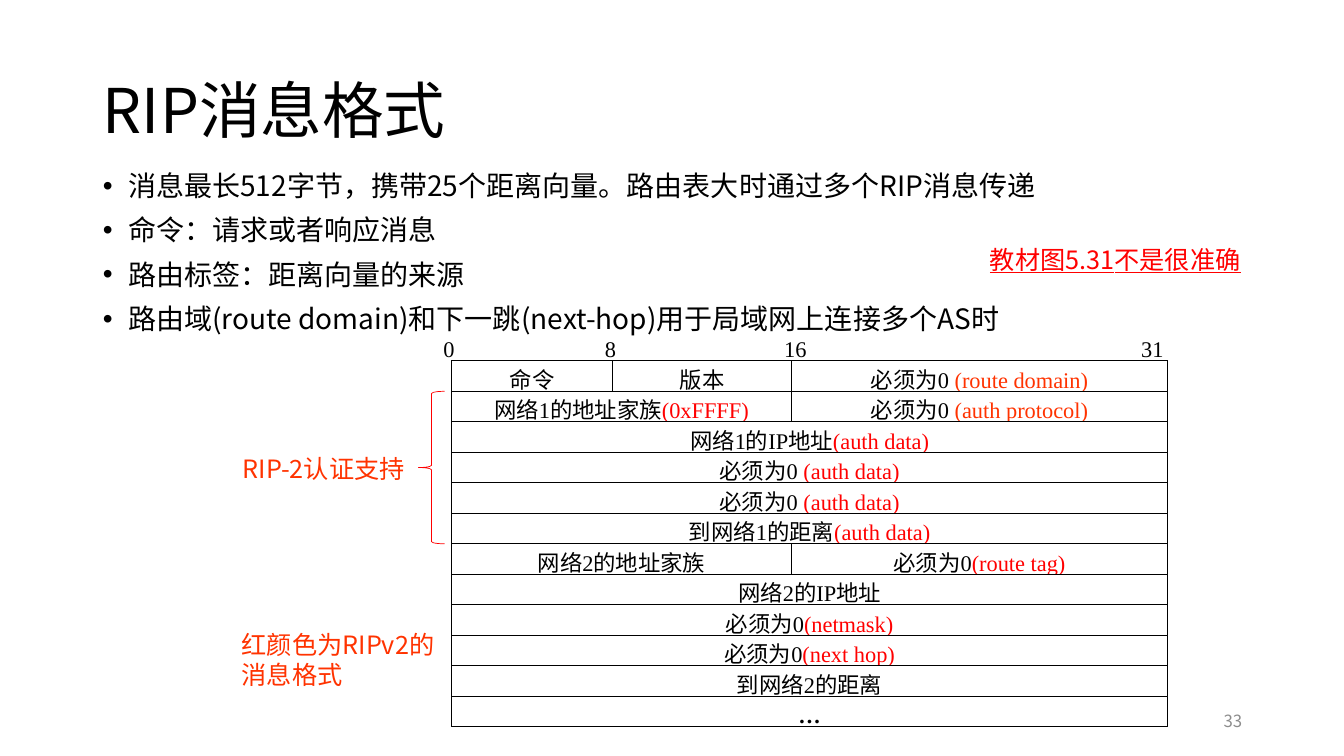
import pptx
import pptx.dml.color
import pptx.enum.shapes
import pptx.enum.text
import pptx.oxml
import pptx.oxml.ns
import pptx.util

Inches = pptx.util.Inches
Pt = pptx.util.Pt
ALIGN = pptx.enum.text.PP_ALIGN
ANCHOR = pptx.enum.text.MSO_ANCHOR
SHAPE = pptx.enum.shapes.MSO_SHAPE

SANS = "Noto Sans CJK SC"
SERIF = "Times New Roman"
BLACK, WHITE, GRAY = "000000", "FFFFFF", "8C8C8C"
RED, ORANGE = "FF0000", "FF3300"

BULLETS = [
    "消息最长512字节，携带25个距离向量。路由表大时通过多个RIP消息传递",
    "命令：请求或者响应消息",
    "路由标签：距离向量的来源",
    "路由域(route domain)和下一跳(next-hop)用于局域网上连接多个AS时",
]

# Left edge of each bit position, measured from the left of the message
BIT_EDGES = {0: 0, 8: 1.6, 16: 3.37, 32: 7.1}
# Text of each ruler mark and its left edge
BIT_MARKS = {"0": -0.18, "8": 1.42, "16": 3.2, "31": 6.74}

# Each field: first bit, end bit, RIPv1 text, RIPv2 text, RIPv2 colour
MESSAGE_ROWS = [
    [(0, 8, "命令", "", RED), (8, 16, "版本", "", RED),
     (16, 32, "必须为0 ", "(route domain)", ORANGE)],
    [(0, 16, "网络1的地址家族", "(0xFFFF)", RED),
     (16, 32, "必须为0 ", "(auth protocol)", ORANGE)],
    [(0, 32, "网络1的IP地址", "(auth data)", RED)],
    [(0, 32, "必须为0", " (auth data)", RED)],
    [(0, 32, "必须为0", " (auth data)", RED)],
    [(0, 32, "到网络1的距离", "(auth data)", RED)],
    [(0, 16, "网络2的地址家族", "", RED), (16, 32, "必须为0", "(route tag)", RED)],
    [(0, 32, "网络2的IP地址", "", RED)],
    [(0, 32, "必须为0", "(netmask)", RED)],
    [(0, 32, "必须为0", "(next hop)", RED)],
    [(0, 32, "到网络2的距离", "", RED)],
    [(0, 32, "…", "", RED)],
]


def rgb(value):
    return pptx.dml.color.RGBColor.from_string(value)


def set_attributes(target, formats):
    for name, value in formats.items():
        setattr(target, name, value)


def add_run(paragraph, text, size, color=BLACK, font=SANS, **formats):
    """Add a run; its Chinese characters always use the sans font."""
    run = paragraph.add_run()
    run.text = text
    set_attributes(run.font, {"size": Pt(size), "name": font, **formats})
    run.font.color.rgb = rgb(color)
    east_asian = pptx.oxml.parse_xml(
        f'<a:ea {pptx.oxml.ns.nsdecls("a")} typeface="{SANS}"/>')
    run.font._element.find(pptx.oxml.ns.qn("a:latin")).addnext(east_asian)


def place(shape, box):
    names = ("left", "top", "width", "height")
    set_attributes(shape, dict(zip(names, map(Inches, box))))


def add_label(shapes, box, text, size, color=BLACK, font=SANS,
              alignment=ALIGN.LEFT, anchor=ANCHOR.TOP, **formats):
    frame = shapes.add_textbox(*map(Inches, box)).text_frame
    set_attributes(frame, {"word_wrap": True, "vertical_anchor": anchor})
    frame.paragraphs[0].alignment = alignment
    add_run(frame.paragraphs[0], text, size, color, font, **formats)


def add_outline(shapes, kind, box, color, width, fill=None):
    shape = shapes.add_shape(kind, *map(Inches, box))
    shape.shadow.inherit = False
    if fill:
        shape.fill.solid()
        shape.fill.fore_color.rgb = rgb(fill)
    else:
        shape.fill.background()
    shape.line.color.rgb = rgb(color)
    shape.line.width = Pt(width)
    return shape


def fill_title(title, box):
    place(title, box)
    frame = title.text_frame
    set_attributes(frame, {"vertical_anchor": ANCHOR.MIDDLE, "word_wrap": True,
                           "auto_size": pptx.enum.text.MSO_AUTO_SIZE.NONE})
    paragraph = frame.paragraphs[0]
    set_attributes(paragraph, {"alignment": ALIGN.LEFT, "line_spacing": 0.9})
    add_run(paragraph, "RIP消息格式", 44)


def fill_bullets(body, box):
    place(body, box)
    frame = body.text_frame
    frame.auto_size = pptx.enum.text.MSO_AUTO_SIZE.NONE
    for index, text in enumerate(BULLETS):
        paragraph = frame.add_paragraph() if index else frame.paragraphs[0]
        properties = paragraph._p.get_or_add_pPr()
        properties.set("marL", str(Inches(0.25)))
        properties.set("indent", str(Inches(-0.25)))
        properties.append(pptx.oxml.parse_xml(
            f'<a:buChar {pptx.oxml.ns.nsdecls("a")} char="•"/>'))
        set_attributes(paragraph, {"line_spacing": 0.9,
                                   "space_before": Pt(10 if index else 0)})
        add_run(paragraph, text, 20)


def add_field(shapes, box, text, extension, extension_color):
    field = add_outline(shapes, SHAPE.RECTANGLE, box, BLACK, 0.75, WHITE)
    frame = field.text_frame
    set_attributes(frame, {"word_wrap": True, "vertical_anchor": ANCHOR.TOP})
    paragraph = frame.paragraphs[0]
    paragraph.alignment = ALIGN.CENTER
    add_run(paragraph, text, 16, BLACK, SERIF, bold=text == "…")
    if extension:
        add_run(paragraph, extension, 16, extension_color, SERIF)


def add_message(slide, box):
    """Draw the message fields in the box, with the bit ruler above it."""
    left, top, width, height = box
    row_height = height / len(MESSAGE_ROWS)
    shapes = slide.shapes.add_group_shape().shapes
    add_outline(shapes, SHAPE.RECTANGLE, box, BLACK, 0.75, WHITE)
    for index, fields in enumerate(MESSAGE_ROWS):
        for first, end, text, extension, color in fields:
            start = BIT_EDGES[first]
            field_box = (left + start, top + index * row_height,
                         BIT_EDGES[end] - start, row_height)
            add_field(shapes, field_box, text, extension, color)
    for text, offset in BIT_MARKS.items():
        add_label(shapes, (left + offset, top - 0.3, 0.53, 0.3), text, 16, font=SERIF)


def add_annotations(slide, box):
    """Place the notes and the brace beside the message in the box."""
    left, top, width, height = box
    row_height = height / len(MESSAGE_ROWS)
    shapes = slide.shapes
    add_label(shapes, (left - 2.18, top + 2.61, 2.23, 0.71),
              "红颜色为RIPv2的消息格式", 18, ORANGE)
    add_outline(shapes, SHAPE.LEFT_BRACE,
                (left - 0.33, top + row_height, 0.26, 5 * row_height), RED, 0.5)
    add_label(shapes, (left - 2.17, top + 0.87, 2.23, 0.41), "RIP-2认证支持", 18, ORANGE)
    add_label(shapes, (left + 5.24, top - 1.21, 3.15, 0.4),
              "教材图5.31不是很准确", 18, RED, underline=True)


def main():
    presentation = pptx.Presentation()
    presentation.slide_width = Inches(13.33)
    presentation.slide_height = Inches(7.5)
    slide = presentation.slides.add_slide(presentation.slide_layouts[1])
    message_box = (4.48, 3.58, 7.1, 3.63)
    fill_title(slide.shapes.title, (0.92, 0.4, 11.5, 1.45))
    fill_bullets(slide.placeholders[1], (0.92, 1.66, 11.5, 4.76))
    add_label(slide.shapes, (9.42, 6.95, 3, 0.4), "33", 12, GRAY,
              alignment=ALIGN.RIGHT, anchor=ANCHOR.MIDDLE)
    add_message(slide, message_box)
    add_annotations(slide, message_box)
    presentation.save("out.pptx")


if __name__ == "__main__":
    main()
